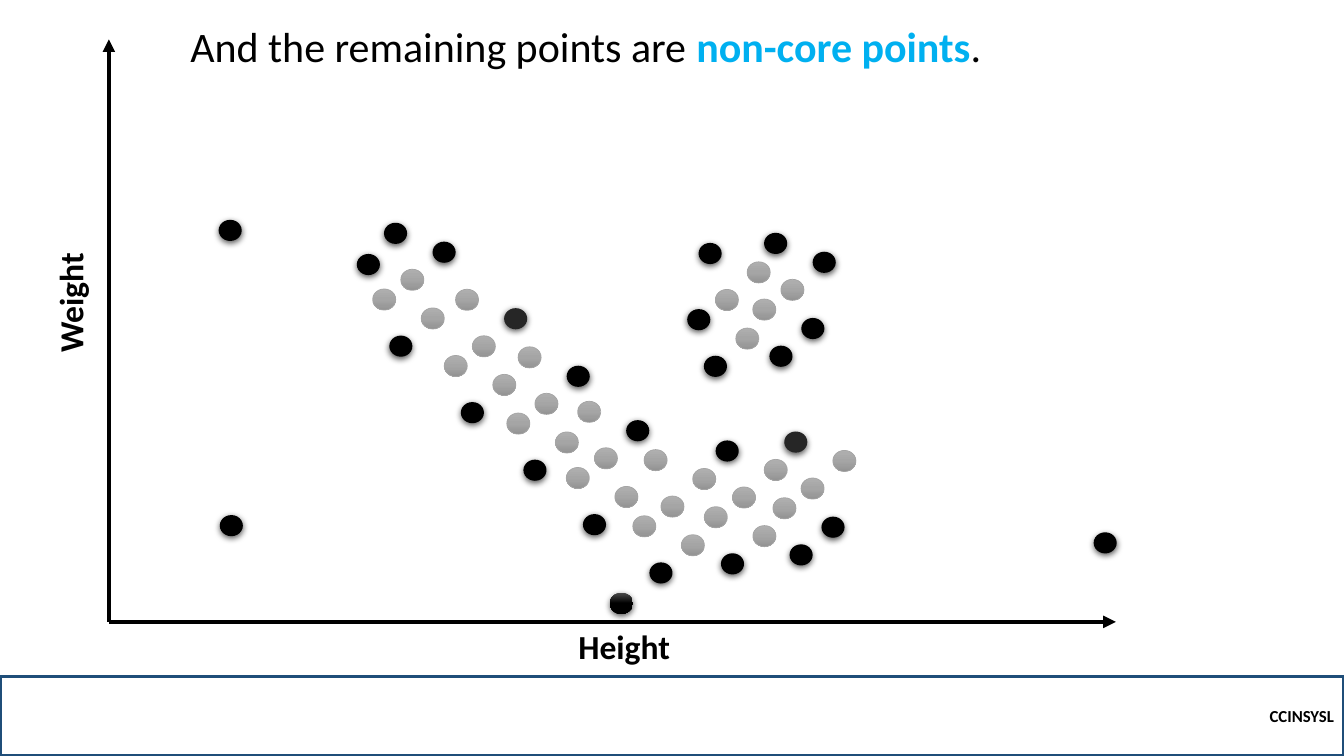
from lxml import etree
from pptx import Presentation
from pptx.dml.color import RGBColor
from pptx.enum import shapes, text
from pptx.oxml import ns
from pptx.util import Pt

THEME = {
    "font": "Calibri",
    "ink": "000000", "accent": "00B0F0", "footer_line": "1F4E79", "core_line": "A5A5A5",
    "title": 30, "label": 24, "footer": 12,
    "axis_line": 3, "footer_width": 2.25, "core_width": 0.5,
}

TITLE = [("And the remaining points are ", "ink", False),
         ("non-core points", "accent", True),
         (".", "ink", False)]
# text, box (left, top, width, height), rotation
AXIS_LABELS = [("Height", (406.1, 443.5, 84.2, 36), 0),
               ("Weight", (7.2, 198, 85.7, 36), 270)]
FOOTER = "CCINSYSL"
FOOTER_BOX = (0, 483.1, 960, 56.9)
TITLE_BOX = (128.9, 10.8, 668.2, 43.9)

ORIGIN = (77.8, 444.2)
AXIS_ENDS = [(797, 444.2), (77.8, 28.1)]

# Every cluster is a chain of the same six-dot pattern.
DOT = (16.5, 15.1)
PATTERN = [(0, 0), (12, 33.2), (34.7, 13.5), (-8.1, 47.3), (3.8, 80.6), (26.6, 60.8)]
# N non-core, C core, D dark non-core, G graded non-core
KINDS = {
    "N": {"fill": ["000000"], "shadow": True},
    "D": {"fill": ["262626"], "shadow": True},
    "G": {"fill": ["4B4B4B", "000000", "000000"], "shadow": True},
    "C": {"fill": ["AFAFAF", "A5A5A5", "939393"], "shadow": False},
}
GROUPS = [
    ((274.3, 159.1), "NCNCNC"),
    ((325.4, 206.6), "CCDCNC"),
    ((370.1, 247.7), "CCNCNC"),
    ((412.6, 286.6), "CCNCNC"),
    ((460.1, 321.1), "CCCCNC"),
    ((511.2, 314.6), "NCCCNC"),
    ((560.2, 308.2), "DCCCNN"),
    ((499, 173.5), "NCCNNC"),
    ((545.8, 166.3), "NCNCNN"),
]
SINGLES = [((156.2, 157), "N"), ((157, 367.9), "N"), ((781.2, 380.2), "N"),
           ((254.9, 181.4), "N"), ((435.6, 423.4), "G")]


def color(name):
    return RGBColor.from_string(THEME[name])


def pts(values):
    return [Pt(v) for v in values]


def add_child(parent, tag, **attrs):
    child = etree.SubElement(parent, ns.qn(tag))
    for key, value in attrs.items():
        child.set(key, str(value))
    return child


def add_run(p, words, size, ink="ink", bold=True):
    r = p.add_run()
    r.text = words
    r.font.name = THEME["font"]
    r.font.size = Pt(THEME[size])
    r.font.bold = bold
    r.font.color.rgb = color(ink)


def add_axis(slide, end):
    line = slide.shapes.add_connector(
        shapes.MSO_CONNECTOR.STRAIGHT, *pts(ORIGIN + end))
    line.line.color.rgb = color("ink")
    line.line.width = Pt(THEME["axis_line"])
    add_child(line.line._get_or_add_ln(), "a:tailEnd", type="triangle")
    add_child(line._element.spPr, "a:effectLst")


def fill_dot(sp, stops):
    """Fill with one colour, or with evenly spaced stops from top to bottom."""
    if len(stops) == 1:
        sp.fill.solid()
        sp.fill.fore_color.rgb = RGBColor.from_string(stops[0])
        return
    sp.fill.gradient()
    sp.fill.gradient_angle = 270
    stop_list = sp._element.spPr.find(".//" + ns.qn("a:gsLst"))
    for old in list(stop_list):
        stop_list.remove(old)
    for i, stop in enumerate(stops):
        gs = add_child(stop_list, "a:gs", pos=i * 100000 // (len(stops) - 1))
        add_child(gs, "a:srgbClr", val=stop)


def add_dot(slide, at, kind):
    look = KINDS[kind]
    sp = slide.shapes.add_shape(shapes.MSO_SHAPE.OVAL, *pts(at + DOT))
    sp.shadow.inherit = False
    fill_dot(sp, look["fill"])
    if look["shadow"]:
        sp.line.fill.background()
        effects = sp._element.spPr.find(ns.qn("a:effectLst"))
        shadow = add_child(effects, "a:outerShdw", blurRad=Pt(4.5), dist=Pt(1.5),
                           dir=5400000, algn="ctr", rotWithShape=0)
        shade = add_child(shadow, "a:srgbClr", val=THEME["ink"])
        add_child(shade, "a:alpha", val=63000)
    else:
        sp.line.color.rgb = color("core_line")
        sp.line.width = Pt(THEME["core_width"])


def add_footer(slide):
    sp = slide.shapes.add_shape(shapes.MSO_SHAPE.RECTANGLE, *pts(FOOTER_BOX))
    sp.shadow.inherit = False
    sp.fill.background()
    sp.line.color.rgb = color("footer_line")
    sp.line.width = Pt(THEME["footer_width"])
    tf = sp.text_frame
    tf.vertical_anchor = text.MSO_ANCHOR.MIDDLE
    p = tf.paragraphs[0]
    p.alignment = text.PP_ALIGN.RIGHT
    add_run(p, FOOTER, "footer")


def add_text(slide, box, wrap):
    sp = slide.shapes.add_textbox(*pts(box))
    tf = sp.text_frame
    tf.word_wrap = wrap
    tf.auto_size = text.MSO_AUTO_SIZE.SHAPE_TO_FIT_TEXT
    return sp, tf.paragraphs[0]


def main():
    prs = Presentation()
    prs.slide_width, prs.slide_height = Pt(960), Pt(540)
    slide = prs.slides.add_slide(prs.slide_layouts[6])

    add_footer(slide)
    for end in AXIS_ENDS:
        add_axis(slide, end)
    for (x, y), kinds in GROUPS:
        for (dx, dy), kind in zip(PATTERN, kinds):
            add_dot(slide, (x + dx, y + dy), kind)
    for at, kind in SINGLES:
        add_dot(slide, at, kind)

    for words, box, rotation in AXIS_LABELS:
        sp, p = add_text(slide, box, False)
        sp.rotation = rotation
        add_run(p, words, "label")
    sp, p = add_text(slide, TITLE_BOX, True)
    for words, ink, bold in TITLE:
        add_run(p, words, "title", ink, bold)

    prs.save("out.pptx")


if __name__ == "__main__":
    main()
